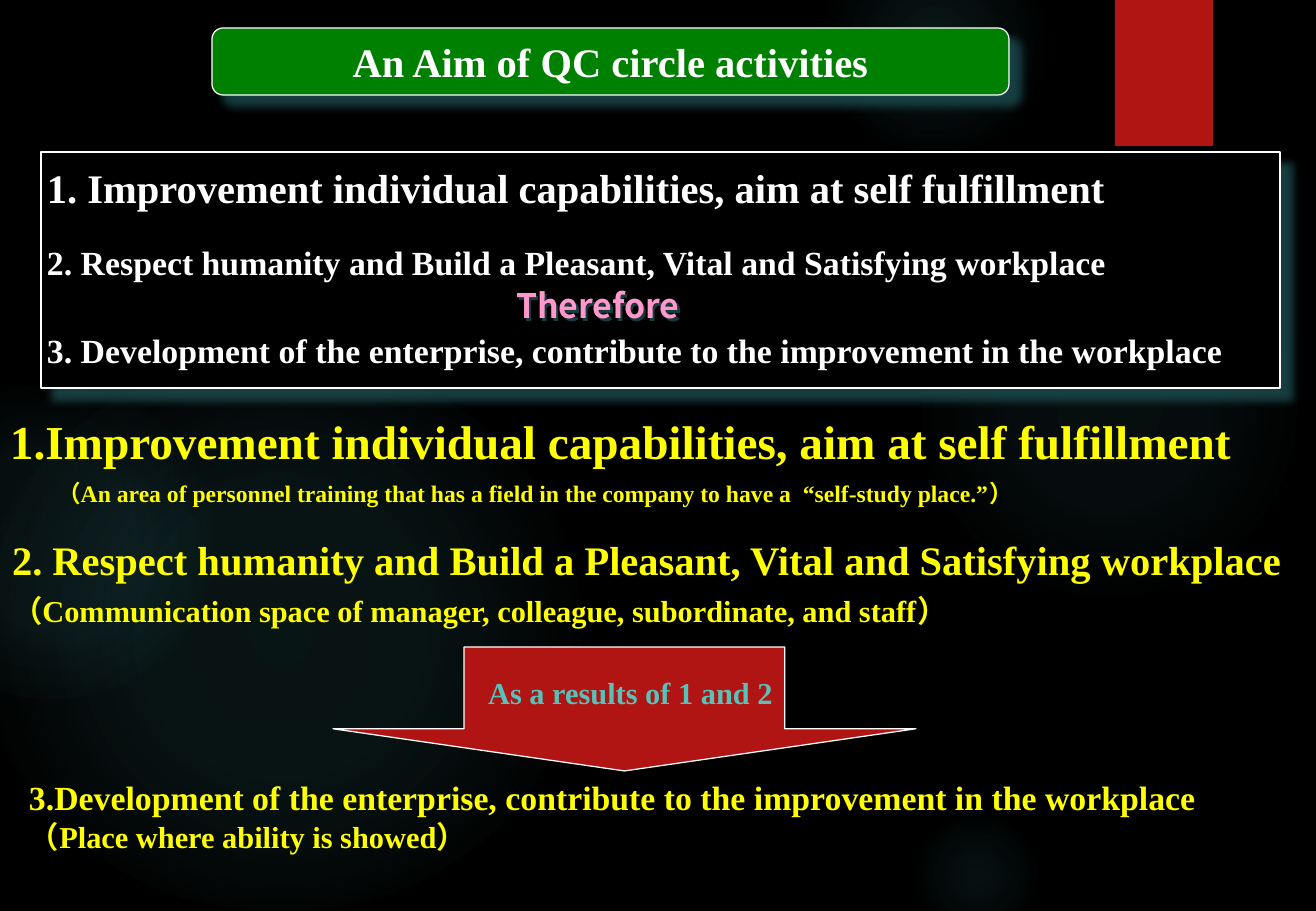
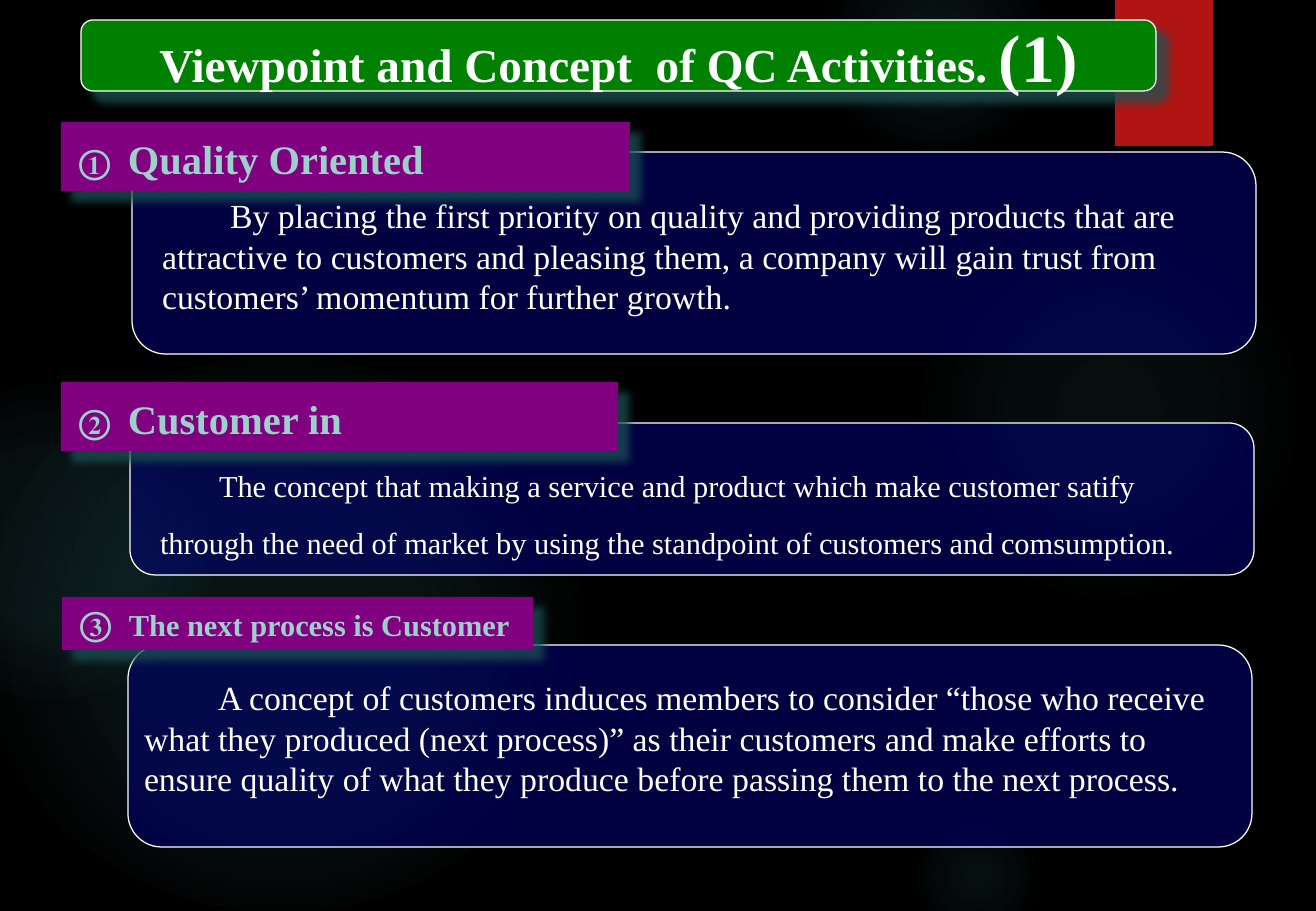
from pptx import Presentation
from pptx.dml.color import RGBColor
from pptx.enum.shapes import MSO_SHAPE
from pptx.enum.text import MSO_ANCHOR, MSO_AUTO_SIZE, PP_ALIGN
from pptx.oxml import parse_xml
from pptx.oxml.ns import nsdecls, qn
from pptx.util import Pt

PX = 914400 / 121.5
SERIF, SANS = "Times New Roman", "Noto Sans CJK JP"
BLACK, WHITE, YELLOW, PINK = "000000", "FFFFFF", "FFFF00", "FF99CC"
RED, GREEN, PURPLE, NAVY = "B01513", "008000", "800080", "000080"
TEAL, PALE_TEAL, GLOW, SHADE = "58C1BA", "9DD0CB", "50B9C1", "1E5155"
SOFT, CRISP = (5, 8.5), (0, 2)
GLOWS = [
    ((906, 222, 406, 374), [(0, 7), (36, 6), (69, 0)]),
    ((819, -61, 231, 213), [(0, 14), (36, 7), (73, 0)]),
    ((906, 810, 142, 131), [(0, 9), (36, 5), (66, 0)]),
    ((-22, 355, 604, 556), [(0, 11), (36, 10), (75, 0)]),
    ((-120, 385, 340, 313), [(0, 8), (36, 8), (72, 0)]),
]


def emu(px):
    """Turn pixels into EMU."""
    return round(px * PX)


def rgb(code):
    """Turn a hex string into a colour."""
    return RGBColor.from_string(code)


def xml(body):
    """Parse a drawing element whose tag is followed by a space."""
    tag, rest = body[:body.index(" ")], body[body.index(" "):]
    return parse_xml(f"<{tag} {nsdecls('a')}{rest}")


def write(sp, text, size=20, color=WHITE, bold=True, font=SERIF,
          align=PP_ALIGN.LEFT, before=0, line=None, margin=0, indent=0):
    """Add one paragraph; text is a string or a list of (string, size)."""
    tf = sp.text_frame
    p = tf.paragraphs[0]
    if p.runs:
        p = tf.add_paragraph()
    pPr = p._p.get_or_add_pPr()
    pPr.set("marL", str(emu(margin)))
    pPr.set("indent", str(emu(indent)))
    pPr.append(xml("a:buNone />"))
    p.alignment = align
    p.space_before = Pt(before)
    if line:
        p.line_spacing = Pt(line)
    for part, points in [(text, size)] if isinstance(text, str) else text:
        r = p.add_run()
        r.text = part
        r.font.name, r.font.size, r.font.bold = font, Pt(points), bold
        r.font.color.rgb = rgb(color)


class Deck:
    """Shared style and the current slide."""

    def __init__(self):
        """Open a black deck."""
        self.prs = Presentation()
        self.prs.slide_width, self.prs.slide_height = emu(1316), emu(911)
        self.master = self.prs.slide_master
        fill = self.master.background.fill
        fill.solid()
        fill.fore_color.rgb = rgb(BLACK)
        self.s = None

    def slide(self, layout, title, box):
        """Start a slide with its title on a green band."""
        first = self.s is None
        self.s = self.prs.slides.add_slide(self.prs.slide_layouts[layout])
        if first:
            self.decorate()
        band = self.shape(MSO_SHAPE.ROUNDED_RECTANGLE, box, GREEN, WHITE, shadow=SOFT)
        sp = self.s.shapes.title
        sp.element.addprevious(band.element)
        x, y, w, h = box
        self.place(sp, (x, y - 6, w, h + 12))
        self.frame(sp, anchor=MSO_ANCHOR.MIDDLE)
        write(sp, title, 24, align=PP_ALIGN.CENTER)

    def decorate(self):
        """Put the glows and the red tab on the master."""
        for box, stops in GLOWS:
            sp = self.shape(MSO_SHAPE.OVAL, box)
            stop_xml = "".join(
                f'<a:gs pos="{pos * 1000}"><a:srgbClr val="{GLOW}">'
                f'<a:alpha val="{alpha * 1000}"/></a:srgbClr></a:gs>' for pos, alpha in stops)
            spPr = sp.element.spPr
            spPr.replace(spPr.find(qn("a:noFill")), xml(
                f'a:gradFill rotWithShape="1"><a:gsLst>{stop_xml}</a:gsLst><a:path path="circle">'
                '<a:fillToRect l="50000" t="50000" r="50000" b="50000"/></a:path></a:gradFill>'))
            self.master.shapes.element.append(sp.element)
        tab = self.shape(MSO_SHAPE.RECTANGLE, (1115, 0, 98, 146), RED)
        self.master.shapes.element.append(tab.element)

    def place(self, sp, box):
        """Move and size a shape."""
        sp.left, sp.top, sp.width, sp.height = map(emu, box)

    def style(self, sp, fill=None, line=None, width=0.75, alpha=None, shadow=None):
        """Set fill, outline and shadow, the last as (blur, distance)."""
        if fill:
            sp.fill.solid()
            sp.fill.fore_color.rgb = rgb(fill)
        else:
            sp.fill.background()
        if alpha:
            color = sp.element.spPr.find(qn("a:solidFill"))[0]
            color.append(xml(f'a:alpha val="{alpha * 1000}"/>'))
        if line:
            sp.line.color.rgb = rgb(line)
            sp.line.width = Pt(width)
        else:
            sp.line.fill.background()
        sp.shadow.inherit = False
        if shadow:
            blur, dist = map(Pt, shadow)
            sp.element.spPr.find(qn("a:effectLst")).append(xml(
                f'a:outerShdw blurRad="{blur}" dist="{dist}" dir="2700000" algn="ctr" '
                f'rotWithShape="0"><a:srgbClr val="{SHADE}"><a:alpha val="75000"/>'
                '</a:srgbClr></a:outerShdw>'))

    def frame(self, sp, left=0, top=0, right=0, anchor=MSO_ANCHOR.TOP):
        """Set the insets and behaviour of a text frame."""
        tf = sp.text_frame
        tf.auto_size, tf.word_wrap, tf.vertical_anchor = MSO_AUTO_SIZE.NONE, True, anchor
        tf.margin_left, tf.margin_top, tf.margin_right = emu(left), emu(top), emu(right)
        tf.margin_bottom = 0

    def shape(self, kind, box, *args, **style):
        """Add a preset shape."""
        sp = self.s.shapes.add_shape(kind, *map(emu, box))
        self.style(sp, *args, **style)
        return sp

    def text(self, box):
        """Add a text box without insets."""
        sp = self.s.shapes.add_textbox(*map(emu, box))
        self.frame(sp)
        return sp

    def aims(self, box, items):
        """Fill the body placeholder with the framed list of aims."""
        sp = self.s.placeholders[1]
        self.place(sp, box)
        self.style(sp, BLACK, WHITE, 1, shadow=SOFT)
        self.frame(sp, left=6, top=11)
        for text, size, before in items:
            write(sp, text, size, before=before)

    def point(self, box, head, size, note, note_size, before=0, margin=0):
        """Add a yellow heading with its note."""
        sp = self.text(box)
        write(sp, head, size, YELLOW)
        write(sp, note, note_size, YELLOW, before=before, margin=margin)

    def arrow(self, box, text):
        """Add a wide labelled down arrow."""
        sp = self.shape(MSO_SHAPE.DOWN_ARROW, box, RED, WHITE)
        sp.adjustments[0], sp.adjustments[1] = 0.55, 0.34
        self.frame(sp, left=12, top=27)
        write(sp, text, 18, TEAL, align=PP_ALIGN.CENTER)

    def panel(self, box, text, size, line, left, top, right, indent):
        """Add a rounded panel whose text starts at left, top."""
        sp = self.shape(MSO_SHAPE.ROUNDED_RECTANGLE, box, NAVY, WHITE, alpha=50)
        x, y, w, h = box
        corner = 0.29 * h / 6
        self.frame(sp, left - x - corner, top - y - corner, x + w - corner - right)
        write(sp, text, size, bold=False, line=line, indent=indent)

    def tag(self, box, number, text, size, top=4):
        """Add a purple tag with a circled number."""
        sp = self.shape(MSO_SHAPE.RECTANGLE, box, PURPLE, shadow=SOFT)
        self.frame(sp, left=18, top=top, anchor=MSO_ANCHOR.MIDDLE)
        write(sp, [(number + "\t", 20), (text, size)], color=PALE_TEAL, margin=49, indent=-49)


def main():
    """Build both slides."""
    d = Deck()
    first = "Improvement individual capabilities, aim at self fulfillment"
    second = "2. Respect humanity and Build a Pleasant, Vital and Satisfying workplace"
    third = "Development of the enterprise, contribute to the improvement in the workplace"

    d.slide(1, "An Aim of QC circle activities", (212, 28, 797, 67))
    d.aims((41, 152, 1239, 236),
           [("1. " + first, 24, 0), (second, 20, 18), ("3. " + third, 20, 28)])
    therefore = d.text((516, 285, 200, 50))
    d.style(therefore, shadow=CRISP)
    write(therefore, "Therefore", 20, PINK, font=SANS)
    d.point((10, 412, 1300, 100), "1." + first, 28,
            "（An area of personnel training that has a field in the company"
            " to have a  “self-study place.”）", 14, 6, 47)
    d.point((12, 535, 1304, 98), second, 24,
            "（Communication space of manager, colleague, subordinate, and staff）", 18, 5)
    d.arrow((333, 647, 583, 124), "As a results of 1 and 2")
    d.point((29, 777, 1280, 86), "3." + third, 20, "（Place where ability is showed）", 18, 0.5)

    d.slide(5, [("Viewpoint and Concept  of QC Activities. ", 28), ("(1)", 40)],
            (81, 20, 1075, 71))
    d.panel((132, 152, 1124, 202),
            "By placing the first priority on quality and providing products that are attractive"
            " to customers and pleasing them, a company will gain trust from customers’"
            " momentum for further growth.", 20, 24, 162, 195, 1215, 68)
    d.tag((61, 122, 569, 69), "①", "Quality Oriented", 24)
    d.panel((130, 423, 1124, 152),
            "The concept that making a service and product which make customer satify through"
            " the need of market by using the standpoint of customers and comsumption.",
            18, 34, 160, 446, 1215, 59)
    d.tag((61, 382, 557, 69), "②", "Customer in", 24)
    d.panel((128, 645, 1124, 202),
            "A concept of customers induces members to consider “those who receive what they"
            " produced (next process)” as their customers and make efforts to ensure quality of"
            " what they produce before passing them to the next process.",
            20, 24, 144, 677, 1225, 74)
    d.tag((62, 597, 471, 53), "③", "The next process is Customer", 18, 0)
    d.prs.save("out.pptx")


if __name__ == "__main__":
    main()
